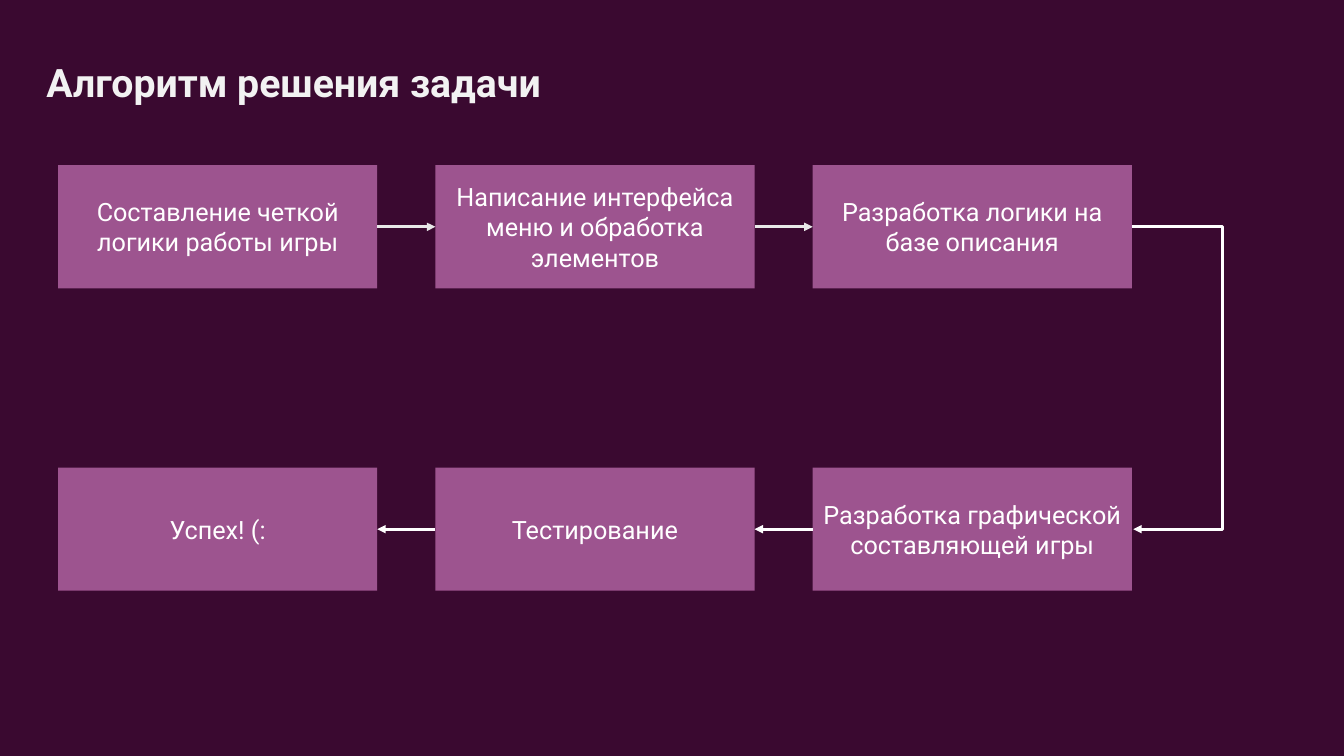
from itertools import pairwise

from lxml import etree
from pptx import Presentation
from pptx.dml.color import RGBColor
from pptx.enum import shapes, text
from pptx.oxml.ns import qn
from pptx.util import Pt

COLORS = {"background": "3A0930", "title": "F2F2F2", "box": "9D548F",
          "white": "FFFFFF", "pale": "E8E8E8"}
TOP, RIGHT, LEFT = 118, 3, 1
BOX_LEFT, BOX_WIDTH, BOX_HEIGHT = 41.5, 228, 88
COLUMN_STEP, ROW_STEP = 269.5, 216
TURN_REACH = 65

FORWARD_STEPS = ["Составление четкой логики работы игры",
                 "Написание интерфейса меню и обработка элементов",
                 "Разработка логики на базе описания"]
RETURN_STEPS = ["Разработка графической составляющей игры",
                "Тестирование",
                "Успех! (:"]


class FlowSlide:
    def __init__(self, prs):
        self.font = "Roboto"
        self.s = prs.slides.add_slide(prs.slide_layouts[5])
        fill = self.s.background.fill
        fill.solid()
        fill.fore_color.rgb = self.color("background")

    def color(self, name):
        return RGBColor.from_string(COLORS[name])

    def set_text(self, tf, content, size, color, align, bold=False):
        p = tf.paragraphs[0]
        p.text = content
        p.alignment = align
        p.font.name, p.font.size, p.font.bold = self.font, Pt(size), bold
        p.font.color.rgb = self.color(color)

    def title(self, content, left, top, width, height):
        sp = self.s.shapes.title
        sp.left, sp.top, sp.width, sp.height = map(Pt, (left, top, width, height))
        tf = sp.text_frame
        tf.word_wrap = False
        tf.auto_size = text.MSO_AUTO_SIZE.SHAPE_TO_FIT_TEXT
        tf.vertical_anchor = text.MSO_ANCHOR.TOP
        self.set_text(tf, content, 28, "title", text.PP_ALIGN.LEFT, bold=True)

    def box(self, content, column, row):
        sp = self.s.shapes.add_shape(
            shapes.MSO_SHAPE.RECTANGLE,
            Pt(BOX_LEFT + column * COLUMN_STEP), Pt(TOP + row * ROW_STEP),
            Pt(BOX_WIDTH), Pt(BOX_HEIGHT))
        sp.shadow.inherit = False
        sp.fill.solid()
        sp.fill.fore_color.rgb = self.color("box")
        sp.line.fill.background()
        tf = sp.text_frame
        tf.word_wrap = True
        tf.vertical_anchor = text.MSO_ANCHOR.MIDDLE
        self.set_text(tf, content, 18, "white", text.PP_ALIGN.CENTER)
        return sp

    def connector(self, kind, start, end, color):
        cxn = self.s.shapes.add_connector(kind, *start, *end)
        cxn.line.width = Pt(2)
        cxn.line.color.rgb = self.color(color)
        spPr = cxn._element.spPr
        etree.SubElement(spPr.get_or_add_ln(), qn("a:tailEnd"), type="triangle")
        etree.SubElement(spPr, qn("a:effectLst"))
        return cxn

    def arrow(self, source, target, source_side, target_side, color):
        cxn = self.connector(shapes.MSO_CONNECTOR.STRAIGHT, (0, 0), (0, 0), color)
        cxn.begin_connect(source, source_side)
        cxn.end_connect(target, target_side)

    def turn(self, source, target):
        """Lead from the right side of one box round to the right side of a lower one."""
        x = source.left + source.width
        start = x, source.top + source.height // 2
        end = x + Pt(1), target.top + target.height // 2
        cxn = self.connector(shapes.MSO_CONNECTOR.ELBOW, start, end, "white")
        guides = cxn._element.spPr.find(qn("a:prstGeom")).get_or_add_avLst()
        # The bend is a share of the connector's width, which is one point.
        etree.SubElement(guides, qn("a:gd"), name="adj1",
                         fmla=f"val {TURN_REACH * 100000}")


def main():
    prs = Presentation()
    prs.slide_width, prs.slide_height = Pt(960), Pt(540)
    slide = FlowSlide(prs)
    slide.title("Алгоритм решения задачи", 26, 38, 371.5, 41)

    forward = [slide.box(step, i, 0) for i, step in enumerate(FORWARD_STEPS)]
    back = [slide.box(step, 2 - i, 1) for i, step in enumerate(RETURN_STEPS)]
    for source, target in pairwise(forward):
        slide.arrow(source, target, RIGHT, LEFT, "pale")
    slide.turn(forward[-1], back[0])
    for source, target in pairwise(back):
        slide.arrow(source, target, LEFT, RIGHT, "white")

    prs.save("out.pptx")


if __name__ == "__main__":
    main()
